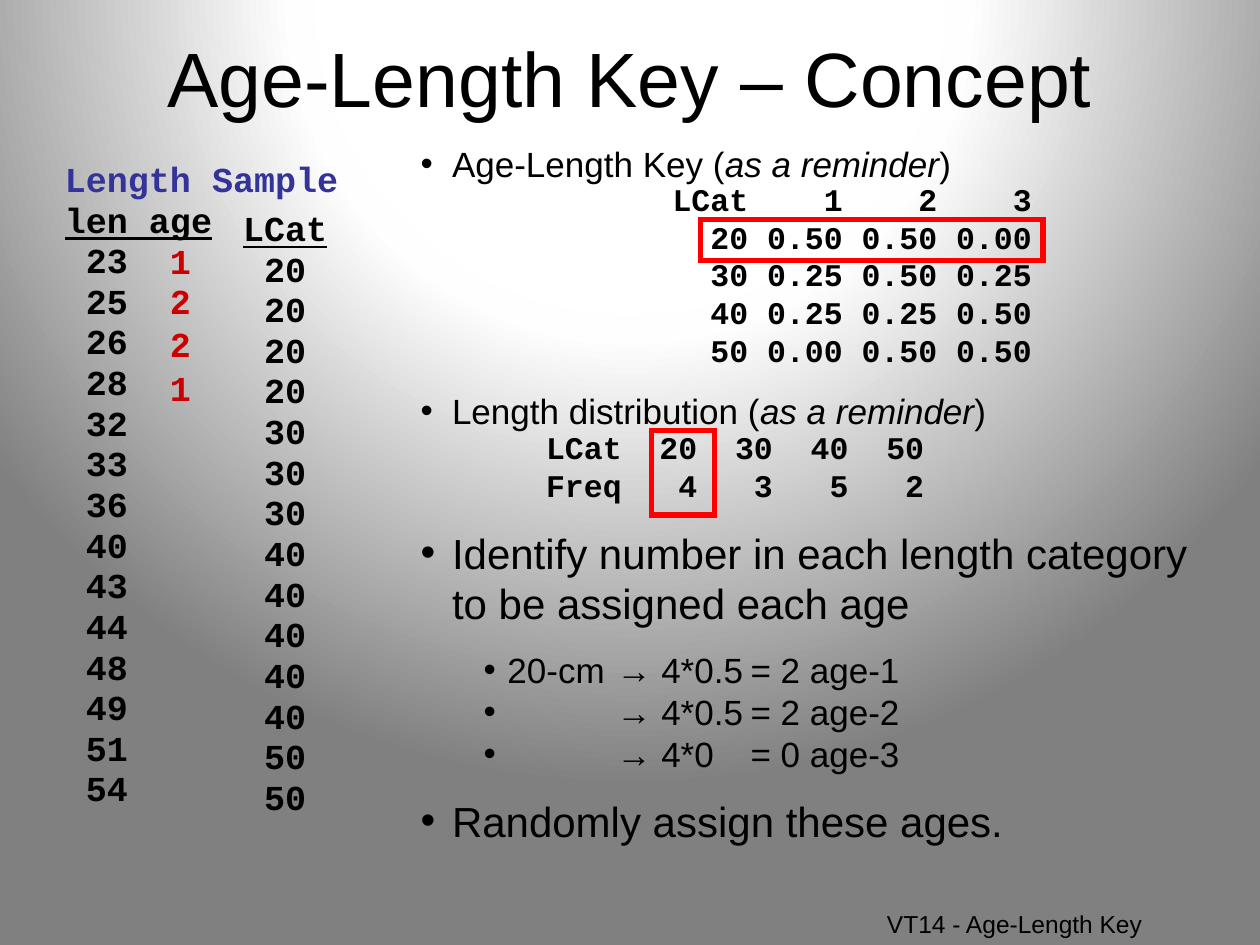
from pptx import Presentation
from pptx import util as u
from pptx.dml.color import RGBColor
from pptx.enum import shapes, text
from pptx.oxml import parse_xml
from pptx.oxml.ns import nsdecls, qn

COLORS = {"ink": "000000", "heading": "333399", "age": "CC0000", "frame": "FF0000"}
SANS, MONO = "Arial", "Courier New"
BACKGROUND = [(0, "FFFFFF"), (40, "FFFFFF"), (43, "FEFEFE"), (100, "808080")]
PLAIN_TABLE = "{2D5ABB26-0587-4C30-8999-92F81FD0307C}"
ROW = 21.55


class KeySlide:
    """Holds the style and the current slide, and draws each kind of element."""

    def __init__(self, deck):
        self.slide = deck.slides.add_slide(deck.slide_layouts[6])

    def background(self, stops):
        self.slide.background.fill.gradient()
        gradient = self.slide.element.find(".//" + qn("a:gradFill"))
        marks = "".join(f'<a:gs pos="{at * 1000}"><a:srgbClr val="{color}"/></a:gs>'
                        for at, color in stops)
        gradient.getparent().replace(gradient, parse_xml(
            f'<a:gradFill rotWithShape="1" {nsdecls("a")}><a:gsLst>{marks}</a:gsLst>'
            '<a:path path="circle"><a:fillToRect l="50000" t="-80000" r="50000" b="180000"/>'
            '</a:path></a:gradFill>'))

    def box(self, left, top, width, height, wrap=True, anchor=text.MSO_ANCHOR.TOP):
        frame = self.slide.shapes.add_textbox(*map(u.Pt, (left, top, width, height))).text_frame
        frame.word_wrap = wrap
        frame.vertical_anchor = anchor
        return frame

    def line(self, frame, words, size, face=SANS, color="ink", bold=False, underline=False,
             align=text.PP_ALIGN.LEFT, before=0, spacing=None, margin=0, indent=0,
             bullet=False, stops=()):
        first = frame.paragraphs[0]
        line = first if not first.runs else frame.add_paragraph()
        for index, part in enumerate([words] if isinstance(words, str) else words):
            run = line.add_run()
            run.text = part
            if index % 2:
                run.font.italic = True
        line.alignment = align
        line.space_before = u.Pt(before)
        if spacing:
            line.line_spacing = spacing
        font = line.font
        font.size, font.name, font.bold, font.underline = u.Pt(size), face, bold, underline
        font.color.rgb = RGBColor.from_string(COLORS[color])
        props = line._p.get_or_add_pPr()
        props.set("marL", str(u.Pt(margin)))
        props.set("indent", str(u.Pt(indent)))
        defaults = props.find(qn("a:defRPr"))
        if bullet:
            defaults.addprevious(parse_xml(f'<a:buFont {nsdecls("a")} typeface="{SANS}"/>'))
            defaults.addprevious(parse_xml(f'<a:buChar {nsdecls("a")} char="•"/>'))
        if stops:
            tabs = "".join(f'<a:tab pos="{u.Pt(stop)}" algn="l"/>' for stop in stops)
            defaults.addprevious(parse_xml(f'<a:tabLst {nsdecls("a")}>{tabs}</a:tabLst>'))

    def column(self, left, top, width, height, rows):
        frame = self.box(left, top, width, height)
        for words, look in rows:
            self.line(frame, words, 20, MONO, bold=True, before=4, spacing=0.8,
                      margin=27, indent=-27, **look)

    def point(self, frame, words, size, before=0):
        self.line(frame, words, size, before=before, margin=18, indent=-18, bullet=True)

    def table(self, left, top, widths, rows):
        table = self.slide.shapes.add_table(
            len(rows), len(widths), u.Pt(left), u.Pt(top),
            u.Pt(sum(widths)), u.Pt(ROW * len(rows))).table
        table.first_row = table.horz_banding = False
        table._tbl.find(".//" + qn("a:tableStyleId")).text = PLAIN_TABLE
        for column, width in zip(table.columns, widths):
            column.width = u.Pt(width)
        for row, values in zip(table.rows, rows):
            row.height = u.Pt(ROW)
            for cell, value in zip(row.cells, values.split()):
                cell.fill.background()
                cell.margin_left = cell.margin_right = cell.margin_top = cell.margin_bottom = 0
                cell.vertical_anchor = text.MSO_ANCHOR.BOTTOM
                self.line(cell.text_frame, value, 18, MONO, bold=True,
                          align=text.PP_ALIGN.RIGHT)

    def highlight(self, left, top, width, height):
        frame = self.slide.shapes.add_shape(
            shapes.MSO_SHAPE.RECTANGLE, *map(u.Pt, (left, top, width, height)))
        frame.shadow.inherit = False
        frame.fill.background()
        frame.line.color.rgb = RGBColor.from_string(COLORS["frame"])
        frame.line.width = u.Pt(3)
        outline = frame.element.find(".//" + qn("a:ln"))
        outline.append(parse_xml(f'<a:miter {nsdecls("a")} lim="800000"/>'))


def main():
    deck = Presentation()
    deck.slide_width, deck.slide_height = u.Pt(720), u.Pt(540)
    key = KeySlide(deck)
    key.background(BACKGROUND)

    footer = key.box(431.7, 516, 228.2, 18)
    key.line(footer, "VT14 - Age-Length Key", 14, align=text.PP_ALIGN.RIGHT)
    title = key.box(5, 9.4, 710, 68.4, anchor=text.MSO_ANCHOR.MIDDLE)
    key.line(title, "Age-Length Key – Concept", 44, align=text.PP_ALIGN.CENTER)

    lengths = [23, 25, 26, 28, 32, 33, 36, 40, 43, 44, 48, 49, 51, 54]
    key.column(30, 91.1, 192, 396,
               [("Length Sample", {"color": "heading"}), ("len age", {"underline": True})]
               + [(f" {length}", {}) for length in lengths])

    concept = key.box(233.2, 77.8, 468.7, 413.3)
    key.point(concept, ["Age-Length Key (", "as a reminder", ")"], 20)
    key.point(concept, ["Length distribution (", "as a reminder", ")"], 20,
              before=5 * ROW + 9.7)
    key.point(concept, "Identify number in each length category to be assigned each age",
              24, before=2 * ROW + 11.4)
    shares = [("20-cm\t→ 4*0.5\t= 2 age-1", 11.5), ("\t→ 4*0.5\t= 2 age-2", 0),
              ("\t→ 4*0\t= 0 age-3", 0)]
    for share, gap in shares:
        key.line(concept, "\t" + share, 20, before=gap, indent=36, bullet=True,
                 stops=(49.7, 112, 188.6))
    key.point(concept, "Randomly assign these ages.", 24, before=12)

    key.table(373.5, 104.5, [54] * 4,
              ["LCat 1 2 3", "20 0.50 0.50 0.00", "30 0.25 0.50 0.25",
               "40 0.25 0.25 0.50", "50 0.00 0.50 0.50"])
    key.table(301.2, 246.2, [54] + [43.2] * 4, ["LCat 20 30 40 50", "Freq 4 3 5 2"])

    key.column(131.8, 119.1, 66.2, 368,
               [("LCat", {"underline": True})]
               + [(f" {length // 10 * 10}", {}) for length in lengths])

    for age, top in [("1", 133.2), ("2", 156.2), ("2", 180.7), ("1", 205.9)]:
        key.line(key.box(90, top, 26.6, 31, wrap=False), age, 20, MONO, "age", bold=True)

    key.highlight(400.3, 125.3, 195.8, 23.8)
    key.highlight(372.2, 246.2, 36, 48.2)
    deck.save("out.pptx")


if __name__ == "__main__":
    main()
